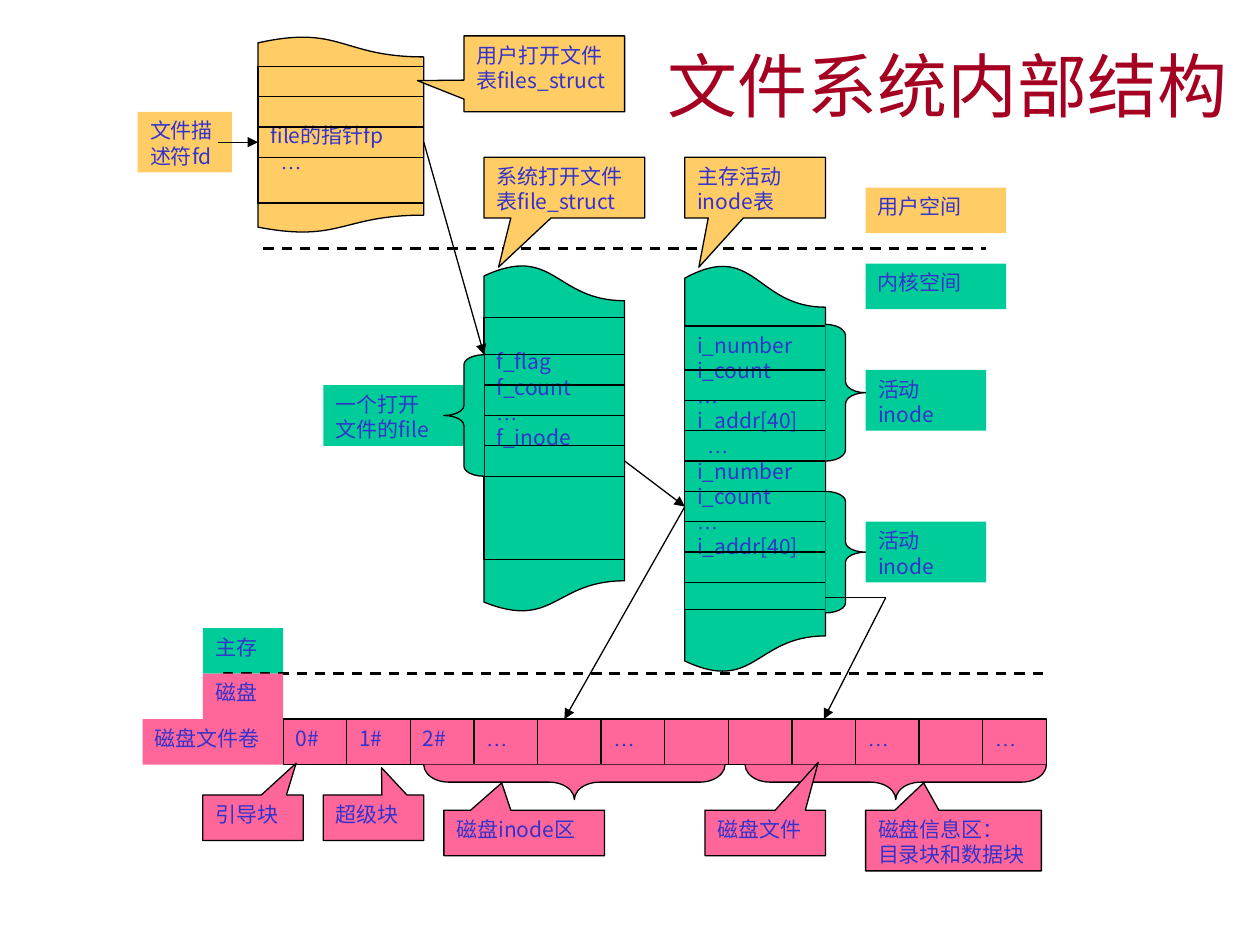
from lxml import etree
from pptx import Presentation
from pptx.dml.color import RGBColor
from pptx.enum.dml import MSO_LINE
from pptx.enum.shapes import MSO_CONNECTOR, MSO_SHAPE
from pptx.enum.text import MSO_ANCHOR, PP_ALIGN
from pptx.oxml.ns import qn
from pptx.util import Inches, Pt

RECTANGLE = MSO_SHAPE.RECTANGLE
CALLOUT = MSO_SHAPE.RECTANGULAR_CALLOUT
BRACE = MSO_SHAPE.LEFT_BRACE
DOCUMENT = MSO_SHAPE.FLOWCHART_DOCUMENT
STRAIGHT = MSO_CONNECTOR.STRAIGHT
DASH = MSO_LINE.DASH
TOP, MIDDLE = MSO_ANCHOR.TOP, MSO_ANCHOR.MIDDLE
LEFT, CENTER, JUSTIFY = PP_ALIGN.LEFT, PP_ALIGN.CENTER, PP_ALIGN.JUSTIFY

USER, KERNEL, DISK = "FFCC66", "00CC99", "FF6699"
INK, LABEL, TITLE = "000000", "3333CC", "A50021"
SANS, SERIF = "Noto Sans CJK JP", "Times New Roman"
ELLIPSIS = "…"


def color(value):
    """Turn a hex string into a colour."""
    return RGBColor.from_string(value)


def write(shape, text, size=12, fill=LABEL, align=LEFT, anchor=TOP,
          top_inset=0.05, indented=()):
    """Put lines of text into a shape, indenting the numbered lines."""
    frame = shape.text_frame
    frame.word_wrap = True
    frame.vertical_anchor = anchor
    frame.margin_top = Inches(top_inset)
    for index, line in enumerate(text.split("\n")):
        paragraph = frame.paragraphs[0] if index == 0 else frame.add_paragraph()
        paragraph.alignment = align
        if index in indented:
            paragraph._p.get_or_add_pPr().set("marL", str(Inches(0.08)))
        run = paragraph.add_run()
        run.text = line
        font = run.font
        font.size = Pt(size)
        font.color.rgb = color(fill)
        font.name = SERIF if line == ELLIPSIS else SANS
        east_asian = etree.SubElement(run._r.get_or_add_rPr(), qn("a:ea"))
        east_asian.set("typeface", font.name)


class Diagram:
    """Draws elements on one slide, placed by grid columns and rows."""

    column, row = 0.1594, 0.1205
    origin_x, origin_y = 0.016, 0.285
    thin, thick = 0.75, 1.5

    def __init__(self, slide):
        """Keep the slide to draw on."""
        self.slide = slide

    def x(self, column):
        """Give the position of a column."""
        return Inches(self.origin_x + self.column * column)

    def y(self, row):
        """Give the position of a row."""
        return Inches(self.origin_y + self.row * row)

    def frame(self, left, top, right, bottom):
        """Give left, top, width and height of a grid area."""
        x, y = self.x(left), self.y(top)
        return x, y, self.x(right) - x, self.y(bottom) - y

    def title(self, area, text):
        """Add the slide title."""
        write(self.slide.shapes.add_textbox(*self.frame(*area)), text,
              size=40, fill=TITLE, align=CENTER, anchor=MIDDLE)

    def shape(self, kind, area, fill, outline=True, flip=None, adjust=()):
        """Add a filled preset shape."""
        shape = self.slide.shapes.add_shape(kind, *self.frame(*area))
        shape.shadow.inherit = False
        shape.fill.solid()
        shape.fill.fore_color.rgb = color(fill)
        if outline:
            shape.line.color.rgb = color(INK)
            shape.line.width = Pt(self.thin)
        else:
            shape.line.fill.background()
        if flip:
            shape._element.spPr.get_or_add_xfrm().set(flip, "1")
        for index, value in enumerate(adjust):
            shape.adjustments[index] = value
        return shape

    def label(self, area, text, fill, outline=False):
        """Add a rectangle with text."""
        shape = self.shape(RECTANGLE, area, fill, outline)
        if text:
            write(shape, text)
        return shape

    def callout(self, area, text, fill, tip):
        """Add a callout whose tip is given as shares of its size."""
        write(self.shape(CALLOUT, area, fill, adjust=tip), text)

    def side_brace(self, area, fill, curve, flip=None):
        """Add an upright brace."""
        self.shape(BRACE, area, fill, flip=flip, adjust=(curve, 0.5))

    def bottom_brace(self, area, fill, curve):
        """Add a brace that points down and fills the given area."""
        left, top, width, height = self.frame(*area)
        shape = self.shape(BRACE, area, fill, flip="flipH", adjust=(curve, 0.5))
        shape.left, shape.top = left + (width - height) // 2, top + (height - width) // 2
        shape.width, shape.height = height, width
        shape.rotation = 90

    def line(self, start, end, arrow=False, dashed=False):
        """Add a straight line between two grid points."""
        line = self.slide.shapes.add_connector(
            STRAIGHT, self.x(start[0]), self.y(start[1]), self.x(end[0]), self.y(end[1]))
        line.line.color.rgb = color(INK)
        line.line.width = Pt(self.thick if dashed else self.thin)
        if dashed:
            line.line.dash_style = DASH
        if arrow:
            etree.SubElement(line.line._get_or_add_ln(), qn("a:tailEnd")).set("type", "triangle")
        etree.SubElement(line._element.spPr, qn("a:effectLst"))
        return line

    def scroll(self, left, right, waves, body, rules, text, fill, **text_format):
        """Add a torn table: two waves, a body with text and row rules."""
        top, middle, bottom = waves
        self.shape(DOCUMENT, (left, middle, right, bottom), fill)
        self.shape(DOCUMENT, (left, top, right, middle), fill, flip="flipV")
        page = self.shape(RECTANGLE, (left, body[0], right, body[1]), fill)
        write(page, text, align=JUSTIFY, **text_format)
        for row in rules:
            self.line((left, row), (right, row))


def draw_memory(diagram):
    """Draw the tables in user space and kernel space."""
    diagram.label((10, 39, 14, 42), "主存", KERNEL)
    inode = "i_number\ni_count\n…\ni_addr[40]"
    diagram.scroll(34, 41, (15, 29.5, 42), (19.1, 37.8), range(22, 37, 2),
                   f"{inode}\n…\n{inode}", KERNEL, indented=(4,))
    diagram.scroll(24, 31, (15, 27.35, 38), (18.55, 34.5), range(21, 30, 2),
                   "f_flag\nf_count\n…\nf_inode", KERNEL, top_inset=0.25)
    diagram.line((31, 28), (34, 31), arrow=True)
    diagram.line((21, 7), (24, 21), arrow=True)
    diagram.scroll(12.75, 21, (0, 7, 13), (2, 11), range(4, 9, 2),
                   "file的指针fp\n…", USER, top_inset=0.45, indented=(1,))
    diagram.line((13, 14), (49, 14), dashed=True)

    for area, text, fill in (
        ((6.75, 5, 11.45, 9), "文件描述符fd", USER),
        ((43, 10, 50, 13), "用户空间", USER),
        ((43, 15, 50, 18), "内核空间", KERNEL),
        ((16, 23, 23, 27), "一个打开\n文件的file", KERNEL),
        ((43, 22, 49, 26), "活动inode", KERNEL),
        ((43, 32, 49, 36), "活动inode", KERNEL),
    ):
        diagram.label(area, text, fill)
    for area, text, tip in (
        ((23, 0, 31, 5), "用户打开文件表files_struct", (-0.79, 0.09)),
        ((24, 8, 32, 12), "系统打开文件表file_struct", (-0.41, 1.31)),
        ((34, 8, 41, 12), "主存活动inode表", (-0.4, 1.31)),
    ):
        diagram.callout(area, text, USER, tip)
    diagram.line((10.75, 7), (12.75, 7), arrow=True)
    diagram.side_brace((22, 21, 24, 29), KERNEL, 0.25)
    diagram.side_brace((41, 30, 43, 38), KERNEL, 0.25, flip="flipH")
    diagram.side_brace((41, 19, 43, 28), KERNEL, 0.28, flip="flipH")


def draw_disk(diagram):
    """Draw the disk volume and the pointers into it."""
    diagram.line((11, 42), (52, 42), dashed=True)
    diagram.label((10, 42, 14, 45), "磁盘", DISK)
    diagram.label((7, 45, 14, 48), "磁盘文件卷", DISK)
    blocks = ["0#", "1#", "2#", ELLIPSIS, "", ELLIPSIS, "", "", "", ELLIPSIS, "", ELLIPSIS]
    width = (52 - 14) / len(blocks)
    cells = [diagram.label((14 + width * index, 45, 14 + width * (index + 1), 48),
                           text, DISK, outline=True)
             for index, text in enumerate(blocks)]
    diagram.line((34, 31), (28, 45), arrow=True)
    diagram.line((41, 37), (44, 37))
    diagram.line((44, 37), (41, 45), arrow=True).end_connect(cells[8], 0)

    for left in (21, 37):
        diagram.bottom_brace((left, 48, left + 15, 50.3), DISK, 0.72)
    for area, text, tip in (
        ((10, 50, 15, 53), "引导块", (0.43, -1.2)),
        ((16, 50, 21, 53), "超级块", (0.08, -1.1)),
        ((22, 51, 30, 54), "磁盘inode区", (-0.14, -1.1)),
        ((43, 51, 51.75, 55), "磁盘信息区：\n目录块和数据块", (-0.17, -0.95)),
        ((35, 51, 41, 54), "磁盘文件", (0.44, -1.55)),
    ):
        diagram.callout(area, text, DISK, tip)


def main():
    """Build and save the slide."""
    presentation = Presentation()
    presentation.slide_width, presentation.slide_height = Inches(10), Inches(7.5)
    diagram = Diagram(presentation.slides.add_slide(presentation.slide_layouts[6]))
    diagram.title((31.75, -1.95, 62.4, 8.4), "文件系统内部结构")
    draw_memory(diagram)
    draw_disk(diagram)
    presentation.save("out.pptx")


if __name__ == "__main__":
    main()
